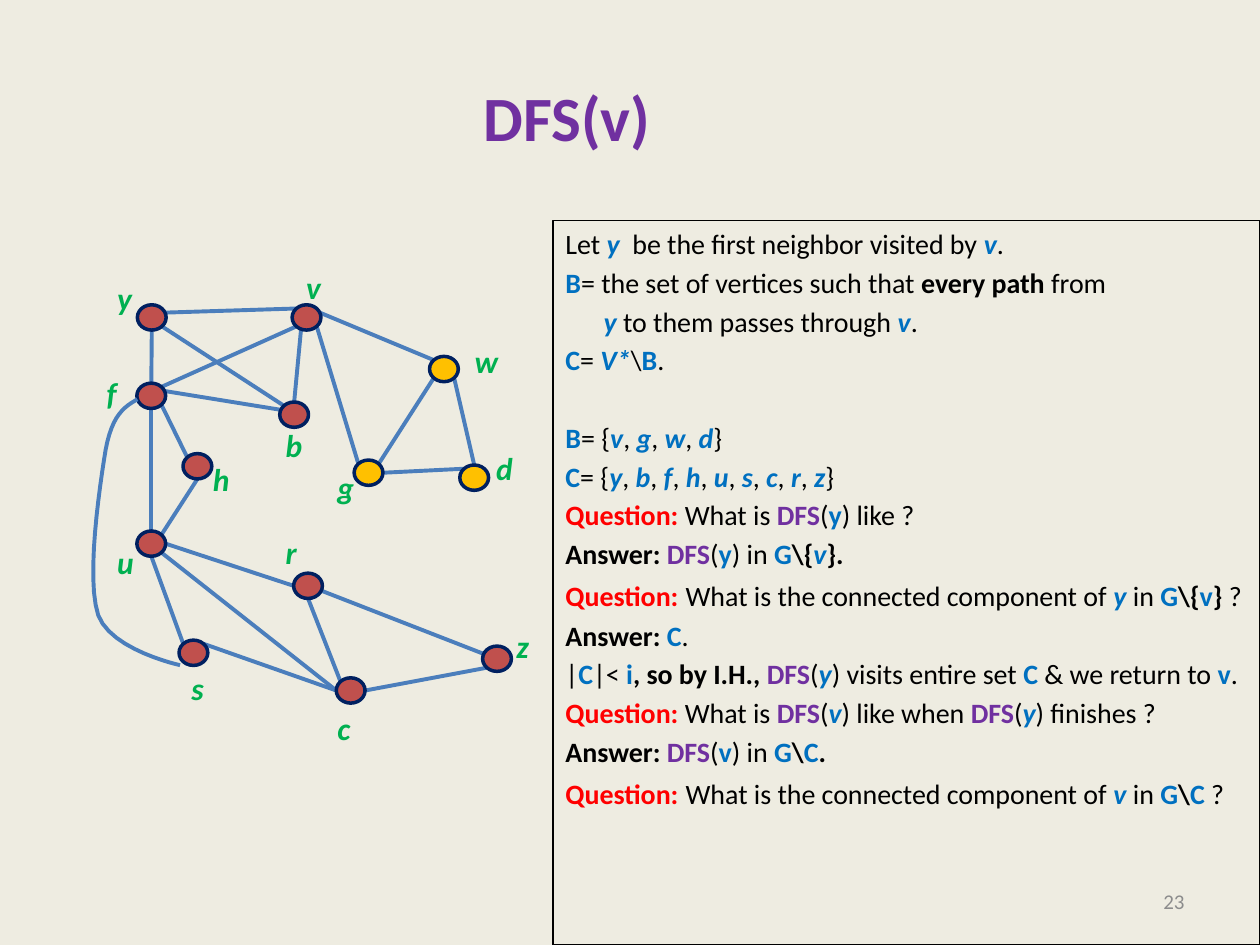
"""Build the DFS(v) slide: a graph beside its step-by-step argument."""
from math import cos, radians, sin

from lxml.etree import SubElement
from pptx import Presentation
from pptx.dml.color import RGBColor
from pptx.enum.shapes import MSO_CONNECTOR as Connector, MSO_SHAPE as Shape
from pptx.enum.text import MSO_ANCHOR as Anchor, PP_ALIGN as Align
from pptx.oxml.ns import qn
from pptx.util import Cm, Pt

COMPASS = "E ESE SE SSE S SSW SW WSW W WNW NW NNW N NNE NE ENE".split()
RED, GOLD = "C0504D", "FFC000"
VERTICES = {
    "y": (3.06, 6.40, RED), "v": (6.18, 6.40, RED), "w": (8.95, 7.44, GOLD),
    "d": (9.56, 9.63, GOLD), "g": (7.43, 9.53, GOLD), "f": (3.05, 7.98, RED),
    "h": (3.98, 9.40, RED), "b": (5.93, 8.36, RED), "u": (3.05, 10.96, RED),
    "r": (6.21, 11.81, RED), "s": (3.90, 13.16, RED), "c": (7.07, 13.92, RED),
    "z": (10.02, 13.28, RED),
}
EDGES = """d N w SE, g E d NW, g NE w SW, u E r W, s NW u S, c E z SW, r S c NW,
u SE c W, z WNW r ESE, s NE c W, f ENE b WNW, y S f N, f S u N, f SE h NW,
y SE b NW, v ENE w NW, v SSW b N, v SE g NW, y ENE v NW, v SW f NE, h S u NE"""
NAMES = {
    "y": (2.11, 5.51), "v": (5.92, 5.28), "w": (9.32, 6.78), "d": (9.75, 8.92),
    "g": (6.55, 9.32), "f": (1.90, 7.42), "b": (5.51, 8.46), "h": (4.04, 9.14),
    "u": (2.11, 10.82), "r": (5.51, 10.62), "s": (3.61, 13.36),
    "c": (6.55, 14.17), "z": (10.16, 12.52),
}
BACK_EDGE = [
    [(2.77, 8.05), (2.51, 8.20), (2.26, 8.36), (2.13, 9.07)],
    [(2.13, 9.07), (2.01, 9.80), (1.73, 11.66), (1.98, 12.40)],
    [(1.98, 12.40), (2.24, 13.11), (3.63, 13.41), (3.63, 13.41)],
]
MARKS = {
    "i": ("0070C0", True, True), "b": ("0070C0", True, False),
    "q": ("FF0000", True, False), "d": ("7030A0", True, False),
    "k": ("000000", True, False), "s": ("000000", True, False),
}
LINE_GAP, SECTION_GAP = 2.9, 25.3
ARGUMENT = [
    ("Let _iy_  be the first neighbor visited by _iv_.", 0, 0),
    ("_bB_= the set of vertices such that _kevery path _from", LINE_GAP, 0),
    ("_iy_ to them passes through _iv_.", LINE_GAP, 0.77),
    (r"_bC_= _iV*_\_bB_.", LINE_GAP, 0),
    ("_bB_= {_iv_, _ig_, _iw_, _id_}", SECTION_GAP, 0),
    ("_bC_= {_iy_, _ib_, _if_, _ih_, _iu_, _is_, _ic_, _ir_, _iz_}", LINE_GAP, 0),
    ("_qQuestion:_ What is _dDFS_(_by_) like ?", LINE_GAP, 0),
    (r"_kAnswer: __dDFS_(_by_) in _bG__k\{__iv__k}._", LINE_GAP, 0),
    (r"_qQuestion:__s _What is the connected component of _iy_ in _bG__k\{__bv__k}_ ?",
     LINE_GAP, 0),
    ("_kAnswer: __bC_.", LINE_GAP, 0),
    ("|_bC_|< _bi__k, so by I.H., __dDFS_(_iy_) visits entire set _bC_"
     " & we return to _bv_.", LINE_GAP, 0),
    ("_qQuestion: _What is _dDFS_(_iv_) like when _dDFS_(_iy_) finishes ?", LINE_GAP, 0),
    (r"_kAnswer: __dDFS_(_bv_) in _bG__k\__bC__k._", LINE_GAP, 0),
    (r"_qQuestion:__s _What is the connected component of _iv_ in _bG__k\__bC_ ?",
     LINE_GAP, 0),
]


def colour(code):
    """Turn a hex string into a colour."""
    return RGBColor.from_string(code)


def rim(vertex, direction):
    """Find the point on a vertex's outline in a compass direction."""
    x, y, _ = VERTICES[vertex]
    angle = radians(COMPASS.index(direction) * 22.5)
    return x + 0.29 * cos(angle), y + 0.255 * sin(angle)


def bezier(points, t):
    """Evaluate a cubic curve at t."""
    weights = (1 - t) ** 3, 3 * t * (1 - t) ** 2, 3 * t * t * (1 - t), t ** 3
    return tuple(sum(w * p[axis] for w, p in zip(weights, points)) for axis in (0, 1))


class Board:
    """Holds the style and the current slide."""

    font, edge, outline = "Calibri", "4B7EBC", "002060"

    def __init__(self, slide, background):
        self.slide, self.shapes = slide, slide.shapes
        slide.background.fill.solid()
        slide.background.fill.fore_color.rgb = colour(background)

    def stroke(self, line, code, width):
        line.color.rgb, line.width = colour(code), Pt(width)

    def text(self, box, words, size, code, bold=False, italic=False,
             align=Align.LEFT, anchor=Anchor.TOP, wrap=True):
        label = self.shapes.add_textbox(*map(Cm, box)).text_frame
        label.word_wrap, label.vertical_anchor = wrap, anchor
        line = label.paragraphs[0]
        line.text, line.alignment = words, align
        line.font.name, line.font.size = self.font, Pt(size)
        line.font.bold, line.font.italic = bold, italic
        line.font.color.rgb = colour(code)

    def vertex(self, x, y, fill):
        dot = self.shapes.add_shape(
            Shape.OVAL, Cm(x - 0.29), Cm(y - 0.255), Cm(0.58), Cm(0.51))
        dot.shadow.inherit = False
        dot.fill.solid()
        dot.fill.fore_color.rgb = colour(fill)
        self.stroke(dot.line, self.outline, 2)

    def link(self, start, end):
        link = self.shapes.add_connector(Connector.STRAIGHT, *map(Cm, start + end))
        self.stroke(link.line, self.edge, 2.25)
        SubElement(link._element.spPr, qn("a:effectLst"))

    def curve(self, pieces, steps=12):
        track = [tuple(map(Cm, bezier(piece, step / steps)))
                 for piece in pieces for step in range(steps + 1)]
        pen = self.shapes.build_freeform(*track[0])
        pen.add_line_segments(track[1:], close=False)
        arc = pen.convert_to_shape()
        arc.shadow.inherit = False
        arc.fill.background()
        self.stroke(arc.line, self.edge, 2.25)

    def panel(self, box, lines):
        panel = self.shapes.add_shape(Shape.RECTANGLE, *map(Cm, box))
        panel.shadow.inherit = False
        panel.fill.background()
        self.stroke(panel.line, "000000", 0.75)
        frame = panel.text_frame
        frame.word_wrap, frame.vertical_anchor = True, Anchor.TOP
        for number, (markup, gap, indent) in enumerate(lines):
            line = frame.add_paragraph() if number else frame.paragraphs[0]
            line.alignment, line.space_before = Align.LEFT, Pt(gap)
            if indent:
                line._p.get_or_add_pPr().set("marL", str(Cm(indent)))
            line.font.name, line.font.size = self.font, Pt(16)
            for place, piece in enumerate(markup.split("_")):
                if piece:
                    self.phrase(line.add_run(), piece, marked=place % 2)

    def phrase(self, run, piece, marked):
        code, bold, italic = MARKS[piece[0]] if marked else ("000000", False, False)
        run.text = piece[1:] if marked else piece
        run.font.bold, run.font.italic = bold, italic
        run.font.color.rgb = colour(code)
        if marked and piece[0] == "s":
            run.font.size = Pt(18)


def main():
    deck = Presentation()
    deck.slide_width, deck.slide_height = Cm(25.4), Cm(19.05)
    board = Board(deck.slides.add_slide(deck.slide_layouts[6]), "EEECE1")
    board.text((18.21, 17.65, 5.92, 1.02), "23", 12, "8C8C8C",
               align=Align.RIGHT, anchor=Anchor.MIDDLE)
    board.text((0, 0.76, 22.86, 3.18), "DFS(v)", 36, "7030A0", bold=True,
               align=Align.CENTER, anchor=Anchor.MIDDLE)
    for edge in EDGES.split(","):
        tail, leaving, head, entering = edge.split()
        board.link(rim(tail, leaving), rim(head, entering))
    for x, y, fill in VERTICES.values():
        board.vertex(x, y, fill)
    for name, (left, top) in NAMES.items():
        board.text((left, top, 0.85, 1.02), name, 18, "00B050",
                   bold=True, italic=True, wrap=False)
    board.panel((11.15, 4.45, 14.25, 14.6), ARGUMENT)
    board.curve(BACK_EDGE)
    deck.save("out.pptx")


if __name__ == "__main__":
    main()
